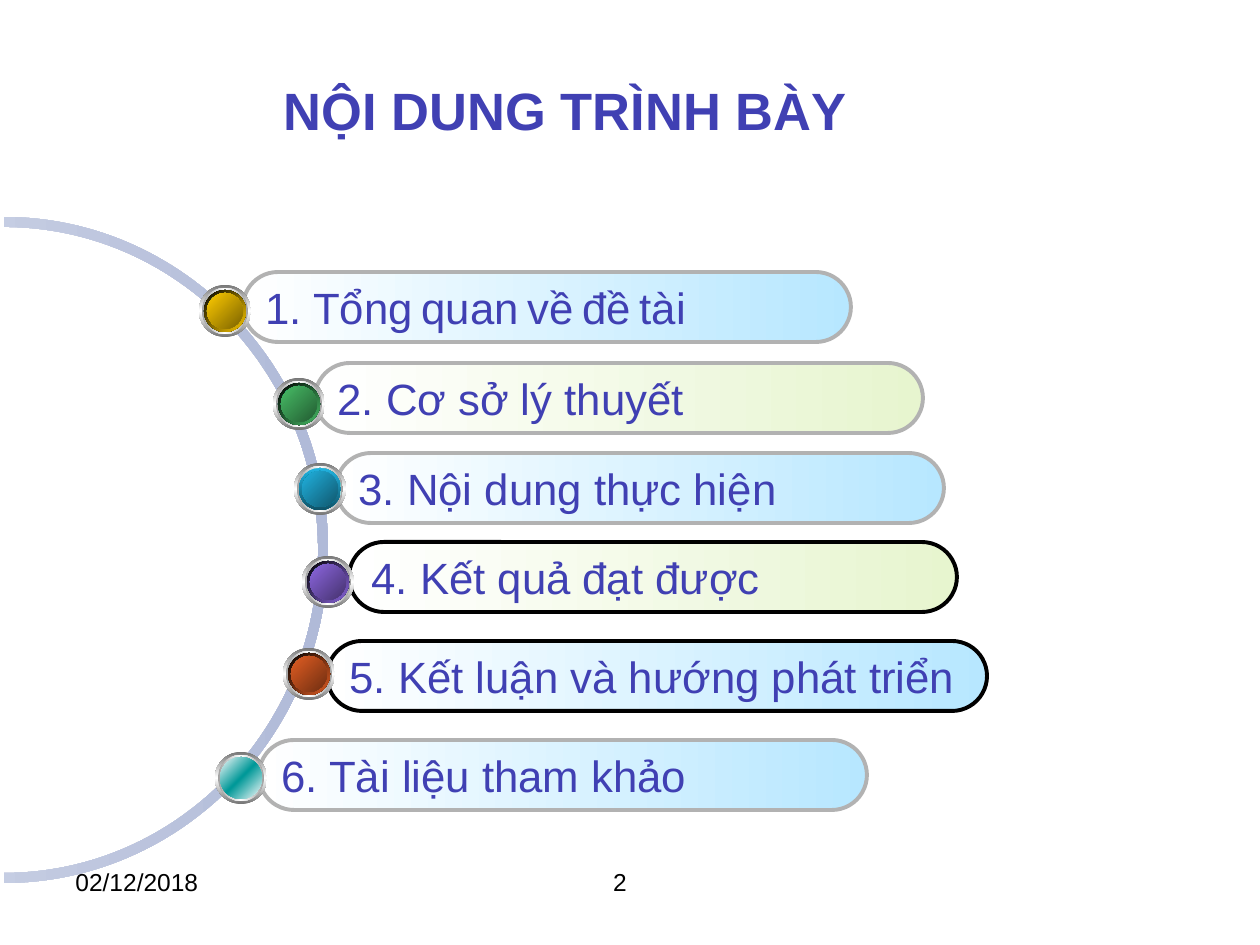
from copy import deepcopy
from lxml.etree import SubElement
from pptx import Presentation
from pptx.dml.color import RGBColor
from pptx.enum.shapes import MSO_SHAPE
from pptx.enum.text import MSO_ANCHOR, PP_ALIGN
from pptx.oxml.ns import qn
from pptx.util import Pt

PX = 914400 // 126
INDIGO, BLACK, GRAY = "4040B3", "000000", "B2B2B2"
BLUE, GREEN = "B7E7FF", "E7F5CF"
PILL_WIDTH, PILL_HEIGHT = 608, 70

ITEMS = [
    {"text": "1. Tổng quan về đề tài", "pill": (243, 272), "knob": (199, 285),
     "tint": BLUE, "line": GRAY, "rim": (BLACK, "FFCC00", 45), "face": ("FFCC00", "7C6300"),
     "small_spaces": True},
    {"text": "2. Cơ sở lý thuyết", "pill": (315, 363), "knob": (273, 378),
     "tint": GREEN, "line": GRAY, "rim": (BLACK, "48BE67", 45), "face": ("48BE67", "235C32")},
    {"text": "3. Nội dung thực hiện", "pill": (336, 453), "knob": (294, 463),
     "tint": BLUE, "line": GRAY, "rim": ("21B3E1", "0F5368", 90), "face": ("21B3E1", "10576D")},
    {"text": "4. Kết quả đạt được", "pill": (349, 542), "knob": (302, 556),
     "tint": GREEN, "line": BLACK, "rim": (BLACK, "8D67E1", 45), "face": ("8D67E1", "45326D")},
    {"text": "5. Kết luận và hướng phát triển", "pill": (327, 641), "knob": (283, 648),
     "tint": BLUE, "line": BLACK, "rim": (BLACK, "E35E23", 45), "face": ("E35E23", "6E2E11"),
     "width": 660},
    {"text": "6. Tài liệu tham khảo", "pill": (259, 740), "knob": (215, 752),
     "tint": BLUE, "line": GRAY},
]
KNOB_BASE = [
    (52, ("767676", "FFFFFF", "767676"), 90),
    (46, ("A2A2A2", "FFFFFF", "A2A2A2"), 0),
    (42, ("FFFFFF", "009999", "FFFFFF"), 45),
]
TEXTS = [
    {"text": "2", "box": (345, 861, 294, 65), "size": 14, "align": PP_ALIGN.RIGHT},
    {"text": "02/12/2018", "box": (63, 861, 294, 65), "size": 14, "align": PP_ALIGN.LEFT},
]
TITLE = {"text": "NỘI DUNG TRÌNH BÀY", "box": (263, 73, 605, 73), "size": 30,
         "align": PP_ALIGN.CENTER, "color": INDIGO, "bold": True,
         "anchor": MSO_ANCHOR.MIDDLE, "space_before": Pt(6)}
ARC = {"box": (-334, 221, 666, 658), "center": (333, 324), "outer": (333, 324),
       "inner": (323, 314), "colors": ("DBE0ED", "B0BAD8")}
CURVE_RATIO = 0.55


def color(value):
    return RGBColor.from_string(value)


def fill_gradient(shape, colors, angle):
    shape.fill.gradient()
    stop_list = shape._element.spPr.find(qn("a:gradFill")).find(qn("a:gsLst"))
    for _ in colors[2:]:
        stop_list.append(deepcopy(stop_list[-1]))
    for index, (stop, value) in enumerate(zip(shape.fill.gradient_stops, colors)):
        stop.position = index / (len(colors) - 1)
        stop.color.rgb = color(value)
    shape.fill.gradient_angle = -angle % 360


def add_run(paragraph, text, size, value, bold=False):
    run = paragraph.add_run()
    run.text = text
    formats = {"name": "Arial", "size": Pt(size), "bold": bold}
    for name, setting in formats.items():
        setattr(run.font, name, setting)
    run.font.color.rgb = color(value)


def add_shape(shapes, kind, box, colors, angle):
    shape = shapes.add_shape(kind, *(length * PX for length in box))
    shape.shadow.inherit = False
    fill_gradient(shape, colors, angle)
    shape.line.fill.background()
    return shape


def add_text(slide, entry):
    box = slide.shapes.add_textbox(*(length * PX for length in entry["box"]))
    frame = box.text_frame
    frame.word_wrap = True
    frame.vertical_anchor = entry.get("anchor", MSO_ANCHOR.TOP)
    paragraph = frame.paragraphs[0]
    paragraph.alignment = entry["align"]
    paragraph.space_before = entry.get("space_before")
    add_run(paragraph, entry["text"], entry["size"], entry.get("color", BLACK), entry.get("bold", False))


def half_ellipse(radius_x, radius_y, side):
    k = CURVE_RATIO
    units = [(-1, 0), (-1, k), (-k, 1), (0, 1), (k, 1), (1, k), (1, 0)]
    center_x, center_y = ARC["center"]
    return [(round(center_x + side * x * radius_x), round(center_y - y * radius_y)) for x, y in units]


def add_arc(slide):
    left, top, width, height = ARC["box"]
    builder = slide.shapes.build_freeform(left, top, scale=PX)
    corners = [(left + width, top), (left + width, top + height), (left, top + height)]
    builder.add_line_segments(corners, close=True)
    arc = builder.convert_to_shape()
    outline = next(arc._element.spPr.iter(qn("a:path")))
    for name, length in (("w", width), ("h", height)):
        outline.set(name, str(length))
    for command in list(outline):
        outline.remove(command)
    outer = half_ellipse(*ARC["outer"], 1)
    inner = half_ellipse(*ARC["inner"], -1)
    commands = [("moveTo", outer[:1]), ("cubicBezTo", outer[1:4]), ("cubicBezTo", outer[4:]),
                ("lnTo", inner[:1]), ("cubicBezTo", inner[1:4]), ("cubicBezTo", inner[4:]), ("close", [])]
    for name, points in commands:
        command = SubElement(outline, qn(f"a:{name}"))
        for x, y in points:
            SubElement(command, qn("a:pt"), x=str(x), y=str(y))
    arc.rotation = 90
    arc.shadow.inherit = False
    fill_gradient(arc, ARC["colors"], 0)
    arc._element.spPr.find(qn("a:gradFill")).set("rotWithShape", "0")
    arc.line.fill.background()


def add_pill(shapes, item):
    box = (*item["pill"], item.get("width", PILL_WIDTH), PILL_HEIGHT)
    pill = add_shape(shapes, MSO_SHAPE.ROUNDED_RECTANGLE, box, ("FFFFFF", item["tint"]), 0)
    pill.adjustments[0] = 0.5
    pill.line.color.rgb = color(item["line"])
    pill.line.width = Pt(2.25)
    frame = pill.text_frame
    frame.word_wrap = False
    frame.vertical_anchor = MSO_ANCHOR.MIDDLE
    paragraph = frame.paragraphs[0]
    paragraph.alignment = PP_ALIGN.LEFT
    if not item.get("small_spaces"):
        add_run(paragraph, item["text"], 25, INDIGO)
        return
    number, *words = item["text"].split(" ")
    add_run(paragraph, f"{number} {words[0]}", 25, INDIGO)
    for word in words[1:]:
        add_run(paragraph, " ", 18, BLACK)
        add_run(paragraph, word, 25, INDIGO)


def add_knob(shapes, item):
    layers = list(KNOB_BASE)
    if "rim" in item:
        *rim_colors, rim_angle = item["rim"]
        layers += [(42, rim_colors, rim_angle),
                   (36, ("007575", "009999", "007575"), 315),
                   (36, item["face"], 45)]
    left, top = item["knob"]
    for size, colors, angle in layers:
        inset = (KNOB_BASE[0][0] - size) // 2
        add_shape(shapes, MSO_SHAPE.OVAL, (left + inset, top + inset, size, size), colors, angle)


def main():
    presentation = Presentation()
    presentation.slide_width, presentation.slide_height = 1260 * PX, 945 * PX
    slide = presentation.slides.add_slide(presentation.slide_layouts[6])
    add_text(slide, TITLE)
    add_arc(slide)
    for item in ITEMS:
        group = slide.shapes.add_group_shape()
        add_pill(group.shapes, item)
        add_knob(group.shapes, item)
    for entry in TEXTS:
        add_text(slide, entry)
    presentation.save("out.pptx")


if __name__ == "__main__":
    main()
